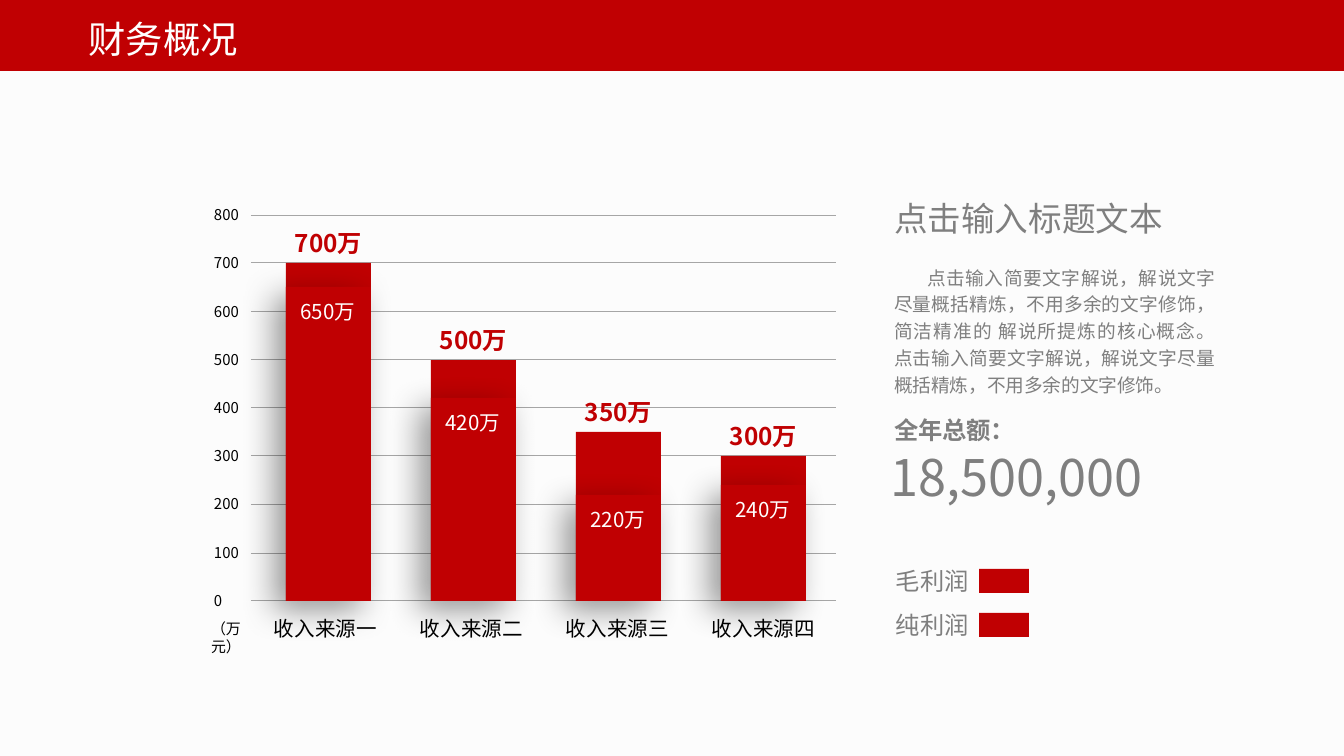
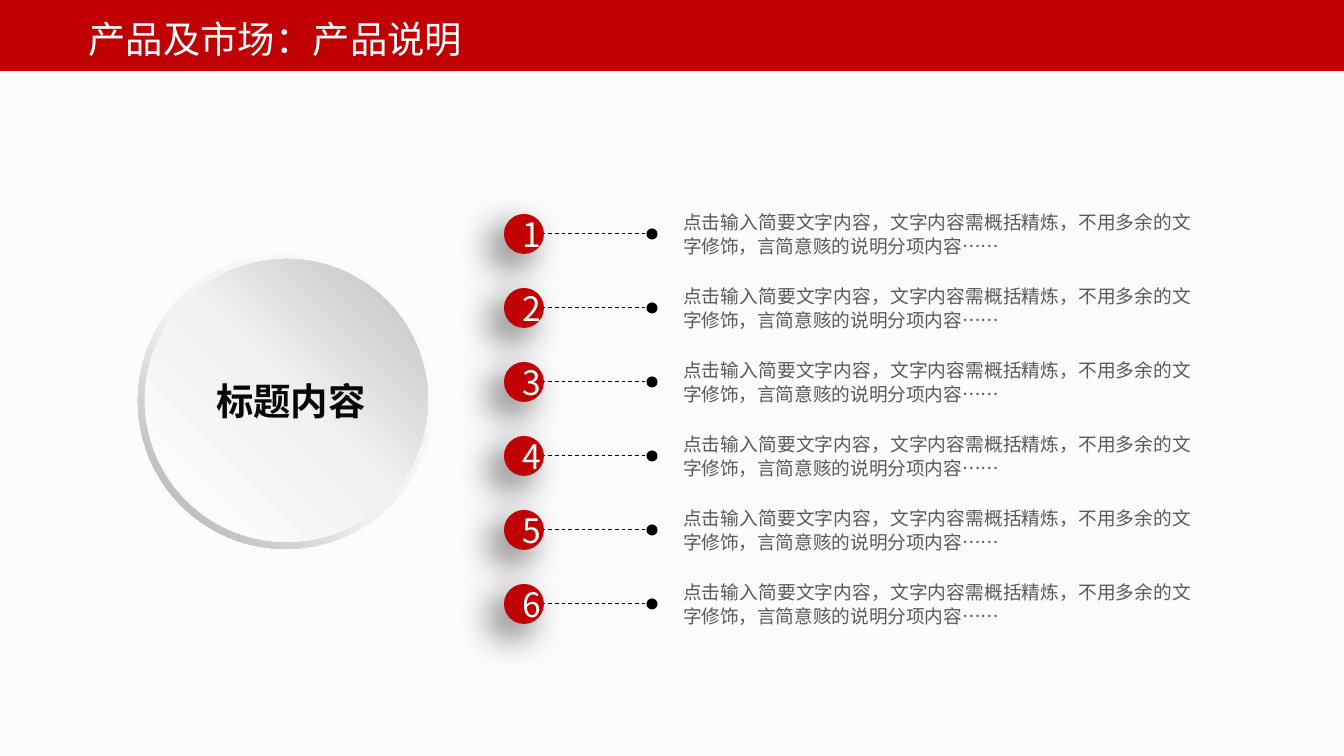
from lxml.etree import SubElement
from pptx import Presentation
from pptx.dml.color import RGBColor
from pptx.enum.dml import MSO_LINE as Dash
from pptx.enum.shapes import MSO_CONNECTOR as Conn, MSO_SHAPE as Kind
from pptx.enum.text import MSO_ANCHOR as Anchor, MSO_AUTO_SIZE as Auto, PP_ALIGN as Align
from pptx.oxml.ns import qn
from pptx.util import Pt

SCALE = 914400 / 134.4
FONT = "Noto Sans CJK SC"
RED = RGBColor(0xC0, 0x00, 0x02)
PAPER = RGBColor(0xFC, 0xFC, 0xFC)
WHITE = RGBColor(0xFF, 0xFF, 0xFF)
BLACK = RGBColor(0x00, 0x00, 0x00)
INK = RGBColor(0x08, 0x08, 0x08)
GRAY = RGBColor(0x7F, 0x7F, 0x7F)
DARK = RGBColor(0x59, 0x59, 0x59)
RULE = RGBColor(0xA6, 0xA6, 0xA6)
PALE = RGBColor(0xF2, 0xF2, 0xF2)
SOFT = RGBColor(0xBF, 0xBF, 0xBF)

BASE, TOP, PEAK = 601, 215, 800
BARS = [("收入来源一", 700, 650), ("收入来源二", 500, 420),
        ("收入来源三", 350, 220), ("收入来源四", 300, 240)]
LEAD = ("点击输入简要文字解说，解说文字尽量概括精炼，不用多余的文字修饰，"
        "简洁精准的 解说所提炼的核心概念。 "
        "点击输入简要文字解说，解说文字尽量概括精炼，不用多余的文字修饰。")
ITEM = "点击输入简要文字内容，文字内容需概括精炼，不用多余的文字修饰，言简意赅的说明分项内容……"


def px(num):
    """Turn pixels into EMU."""
    return round(num * SCALE)


def area(*box):
    """Turn a pixel box into EMU."""
    return [px(num) for num in box]


def level(value):
    """Give the height on the slide of a value on the axis."""
    return round(BASE - value * (BASE - TOP) / PEAK)


def write(frame, text, size, color, bold=False, align=Align.LEFT, gap=None, indent=0):
    """Write one run into the first paragraph of a frame."""
    para = frame.paragraphs[0]
    para.alignment = align
    if gap:
        para.line_spacing = gap
    if indent:
        para._p.get_or_add_pPr().set("indent", str(px(indent)))
    run = para.add_run()
    run.text = text
    font = run.font
    font.size, font.bold, font.name = Pt(size), bold, FONT
    font.color.rgb = color
    SubElement(font._element, qn("a:ea")).set("typeface", FONT)


def label(slide, box, text, size, color, wrap=True, pad=(0, 0), **style):
    """Add a text box."""
    frame = slide.shapes.add_textbox(*area(*box)).text_frame
    frame.word_wrap = wrap
    frame.auto_size = Auto.SHAPE_TO_FIT_TEXT
    frame.margin_left = frame.margin_right = px(pad[0])
    frame.margin_top = frame.margin_bottom = px(pad[1])
    write(frame, text, size, color, **style)


def block(slide, kind, box, color=RED):
    """Add a flat shape with no outline."""
    shape = slide.shapes.add_shape(kind, *area(*box))
    shape.shadow.inherit = False
    shape.fill.solid()
    shape.fill.fore_color.rgb = color
    shape.line.fill.background()
    return shape


def shade(shape, alpha, blur, dist, angle):
    """Give a shape a soft outer shadow."""
    effect = shape._element.spPr.find(qn("a:effectLst"))
    outer = SubElement(effect, qn("a:outerShdw"), blurRad=str(Pt(blur)),
                       dist=str(Pt(dist)), dir=str(angle * 60000),
                       algn="ctr", rotWithShape="0")
    color = SubElement(outer, qn("a:srgbClr"), val=str(BLACK))
    SubElement(color, qn("a:alpha"), val=str(alpha * 1000))


def blend(shape, stops, angle):
    """Fill a shape with a linear gradient."""
    shape.fill.gradient()
    shape.fill.gradient_angle = 360 - angle
    group = shape._element.spPr.find(".//" + qn("a:gsLst"))
    for stop in list(group):
        group.remove(stop)
    for spot, color in stops:
        stop = SubElement(group, qn("a:gs"), pos=str(spot * 1000))
        SubElement(stop, qn("a:srgbClr"), val=str(color))


def rule(slide, left, right, y, color, dotted=False):
    """Add a thin level line, dashed with a dot at its end if dotted."""
    wire = slide.shapes.add_connector(Conn.STRAIGHT, *area(left, y, right, y))
    wire.line.color.rgb = color
    wire.line.width = Pt(0.5)
    if dotted:
        wire.line.dash_style = Dash.DASH
        SubElement(wire.line._get_or_add_ln(), qn("a:tailEnd"), type="oval")
    SubElement(wire._element.spPr, qn("a:effectLst"))


def page(prs, text):
    """Add a slide with the red band and its title."""
    slide = prs.slides.add_slide(prs.slide_layouts[5])
    title = slide.shapes.title
    band = block(slide, Kind.RECTANGLE, (0, 0, 1344, 71))
    title._element.addprevious(band._element)
    title.left, title.top, title.width, title.height = area(75, 9, 523, 59)
    frame = title.text_frame
    frame.vertical_anchor = Anchor.TOP
    frame.auto_size = Auto.SHAPE_TO_FIT_TEXT
    write(frame, text, 20, WHITE)
    return slide


def axis(slide):
    """Draw the grid lines and the values beside them."""
    for value in range(0, PEAK + 1, 100):
        y = level(value)
        rule(slide, 251, 836, y, RULE)
        label(slide, (214, y - 9, 28, 17), str(value), 8, BLACK, align=Align.JUSTIFY)
    label(slide, (191, 614, 70, 30), "（万元）", 8, BLACK, pad=(12, 6), align=Align.CENTER)


def column(slide, num, name, gross, net):
    """Draw the gross and net bars of one source with their labels."""
    x, high, low = 286 + 145 * num, level(gross), level(net)
    mid = Align.CENTER
    label(slide, (261 + 146 * num, 610, 129, 38), name, 11, BLACK, pad=(12, 6), align=mid)
    block(slide, Kind.RECTANGLE, (x, high, 85, BASE - high))
    inner = block(slide, Kind.RECTANGLE, (x, low, 85, BASE - low))
    shade(inner, 40, 18, 8, 140)
    label(slide, (x + 7, high - 35, 71, 30), f"{gross}万", 13, RED, False, bold=True, align=mid)
    label(slide, (x + 13, low + 12, 58, 26), f"{net}万", 11, WHITE, False, align=mid)


def money(prs):
    """Build the slide on finance."""
    slide = page(prs, "财务概况")
    axis(slide)
    for num, bar in enumerate(BARS):
        column(slide, num, *bar)
    label(slide, (894, 198, 270, 40), "点击输入标题文本", 18, GRAY)
    label(slide, (894, 262, 321, 136), LEAD, 10, GRAY,
          align=Align.JUSTIFY, gap=1.2, indent=33)
    label(slide, (894, 415, 188, 30), "全年总额：", 13, GRAY, bold=True)
    label(slide, (891, 446, 298, 60), "18,500,000", 27, GRAY)
    for num, name in enumerate(("毛利润", "纯利润")):
        y = 566 + 44 * num
        label(slide, (896, y, 83, 30), name, 13, GRAY)
        block(slide, Kind.RECTANGLE, (979, y + 3, 50, 24))


def goods(prs):
    """Build the slide on the product."""
    slide = page(prs, "产品及市场：产品说明")
    ring = block(slide, Kind.DONUT, (138, 253, 296, 296))
    ring.adjustments[0] = 0.05
    blend(ring, [(0, WHITE), (55, PALE), (100, RULE)], 135)
    disc = block(slide, Kind.OVAL, (145, 259, 283, 283))
    blend(disc, [(0, WHITE), (51, PALE), (100, SOFT)], 315)
    label(slide, (188, 378, 206, 46), "标题内容", 20, INK, bold=True, align=Align.CENTER)
    for num in range(6):
        y = 234 + 74 * num
        label(slide, (683, y - 25, 508, 48), ITEM, 10, DARK,
              align=Align.JUSTIFY, gap=Pt(13))
        rule(slide, 535, 652, y, BLACK, True)
        dot = block(slide, Kind.OVAL, (504, y - 20, 40, 40))
        shade(dot, 60, 20, 10, 135)
        dot.text_frame.vertical_anchor = Anchor.MIDDLE
        write(dot.text_frame, str(num + 1), 18, WHITE, align=Align.CENTER)


def main():
    """Build and save the slides."""
    prs = Presentation()
    prs.slide_width, prs.slide_height = area(1344, 756)
    back = prs.slide_master.background.fill
    back.solid()
    back.fore_color.rgb = PAPER
    money(prs)
    goods(prs)
    prs.save("out.pptx")


if __name__ == "__main__":
    main()
